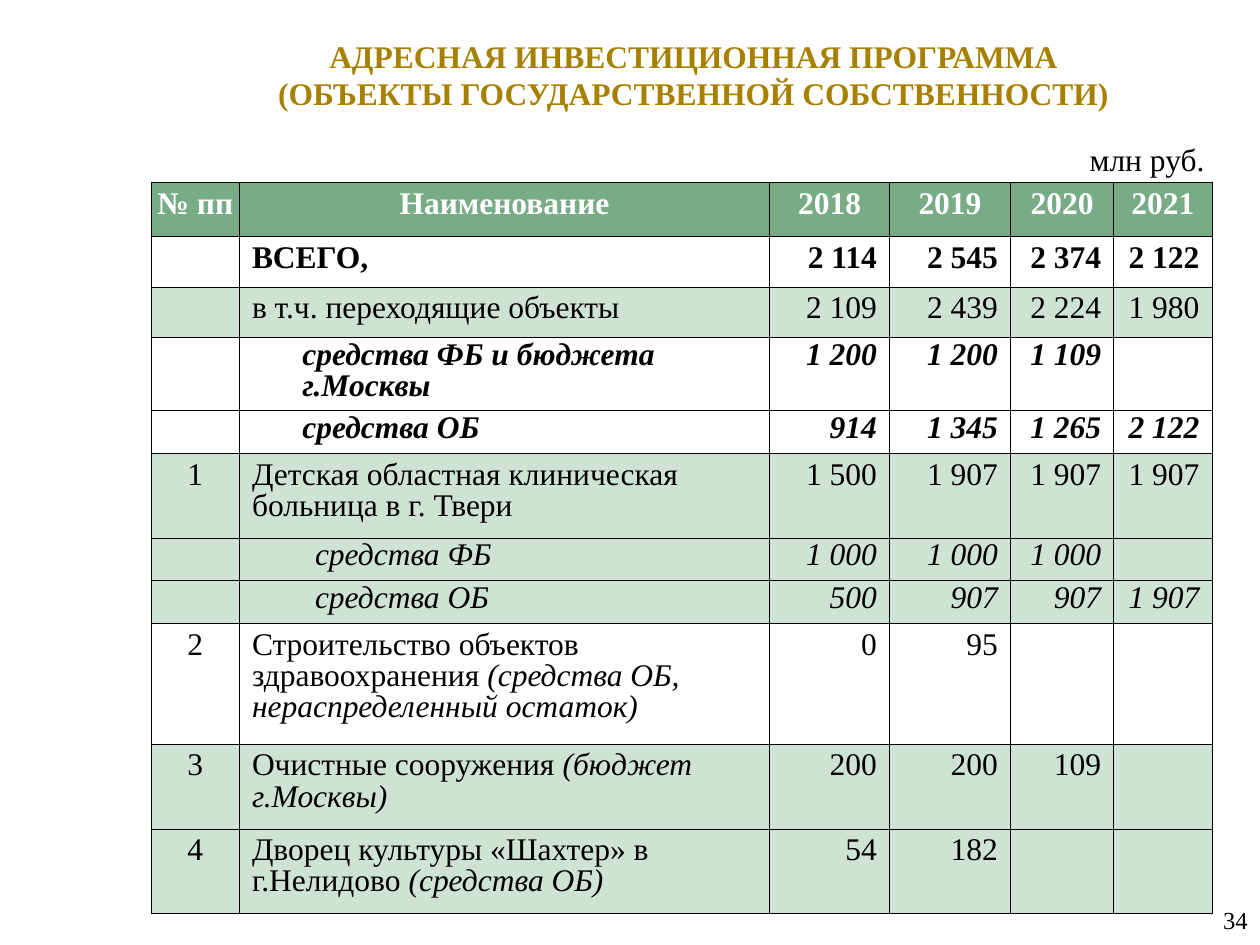
from dataclasses import dataclass

import pptx
import pptx.dml.color
import pptx.enum.text
import pptx.oxml
import pptx.oxml.ns
import pptx.util
from pptx.util import Inches

ALIGN = pptx.enum.text.PP_ALIGN
ANCHOR = pptx.enum.text.MSO_ANCHOR


@dataclass(frozen=True)
class Theme:
    font: str = "Times New Roman"
    body_size: int = 18
    number_size: int = 14
    gold: str = "A88000"
    black: str = "000000"
    white: str = "FFFFFF"
    header_green: str = "78AC87"
    pale_green: str = "CFE3D4"
    border_width: float = 0.5
    line_spacing: float = 0.9


@dataclass(frozen=True)
class Row:
    height: float
    number: str
    name: str
    figures: tuple
    note: str = ""
    shaded: bool = False
    bold: bool = False
    italic: bool = False
    indent: float = 0


THEME = Theme()
YEARS = ("2018", "2019", "2020", "2021")
COLUMN_WIDTHS = (0.7, 4.21, 0.95, 0.96, 0.82, 0.78)
HEADER_HEIGHT = 0.43

PROGRAMME = (
    Row(0.39, "", "ВСЕГО,", ("2 114", "2 545", "2 374", "2 122"), bold=True),
    Row(0.39, "", "в т.ч. переходящие объекты",
        ("2 109", "2 439", "2 224", "1 980"), shaded=True),
    Row(0.58, "", "средства ФБ и бюджета г.Москвы",
        ("1 200", "1 200", "1 109", ""), bold=True, italic=True, indent=0.4),
    Row(0.33, "", "средства ОБ", ("914", "1 345", "1 265", "2 122"),
        bold=True, italic=True, indent=0.4),
    Row(0.67, "1", "Детская областная клиническая\nбольница в г. Твери",
        ("1 500", "1 907", "1 907", "1 907"), shaded=True),
    Row(0.33, "", "средства ФБ", ("1 000", "1 000", "1 000", ""),
        shaded=True, italic=True, indent=0.5),
    Row(0.33, "", "средства ОБ", ("500", "907", "907", "1 907"),
        shaded=True, italic=True, indent=0.5),
    Row(0.96, "2", "Строительство объектов здравоохранения ", ("0", "95", "", ""),
        note="(средства ОБ, нераспределенный остаток)"),
    Row(0.67, "3", "Очистные сооружения ", ("200", "200", "109", ""),
        note="(бюджет г.Москвы)", shaded=True),
    Row(0.67, "4", "Дворец культуры «Шахтер» в г.Нелидово ", ("54", "182", "", ""),
        note="(средства ОБ)", shaded=True),
)


def rgb(value):
    return pptx.dml.color.RGBColor.from_string(value)


def write(frame, text, *, note="", size=THEME.body_size, color=THEME.black,
          bold=False, italic=False, align=ALIGN.LEFT, spacing=None, indent=0):
    """Write one paragraph per line; a note follows the last one in italics."""
    def add_run(paragraph, words, slanted):
        run = paragraph.add_run()
        run.text = words
        run.font.name = THEME.font
        run.font.size = pptx.util.Pt(size)
        run.font.color.rgb = rgb(color)
        run.font.bold = bold
        run.font.italic = slanted

    for index, line in enumerate(text.split("\n")):
        paragraph = frame.add_paragraph() if index else frame.paragraphs[0]
        paragraph.alignment = align
        if spacing:
            paragraph.line_spacing = spacing
        if indent:
            properties = paragraph._p.get_or_add_pPr()
            properties.set("marL", str(Inches(indent)))
            properties.set("indent", "0")
        for part, words in enumerate(line.split("\v")):
            if part:
                paragraph.add_line_break()
            if words:
                add_run(paragraph, words, italic)
    if note:
        add_run(paragraph, note, True)


class SlideBuilder:
    def __init__(self, presentation, theme):
        self.theme = theme
        self.slide = presentation.slides.add_slide(presentation.slide_layouts[5])

    def title(self, text, left, top, width, height):
        heading = self.slide.shapes.title
        heading.left, heading.top = Inches(left), Inches(top)
        heading.width, heading.height = Inches(width), Inches(height)
        heading.text_frame.vertical_anchor = ANCHOR.MIDDLE
        heading.text_frame.auto_size = pptx.enum.text.MSO_AUTO_SIZE.NONE
        write(heading.text_frame, text, color=self.theme.gold, bold=True,
              align=ALIGN.CENTER)

    def label(self, text, left, top, width, height, anchor=ANCHOR.TOP, **style):
        box = self.slide.shapes.add_textbox(
            Inches(left), Inches(top), Inches(width), Inches(height))
        box.text_frame.word_wrap = True
        box.text_frame.vertical_anchor = anchor
        write(box.text_frame, text, **style)

    def border(self, cell):
        properties = cell._tc.get_or_add_tcPr()
        width = pptx.util.Pt(self.theme.border_width)
        for position, side in enumerate(("lnL", "lnR", "lnT", "lnB")):
            properties.insert(position, pptx.oxml.parse_xml(
                f'<a:{side} {pptx.oxml.ns.nsdecls("a")} w="{width}"><a:solidFill>'
                f'<a:srgbClr val="{self.theme.black}"/></a:solidFill></a:{side}>'))

    def cell(self, cell, text, fill=None, side=0.1, edge=0.05, **style):
        cell.margin_left = cell.margin_right = Inches(side)
        cell.margin_top = cell.margin_bottom = Inches(edge)
        if fill:
            cell.fill.solid()
            cell.fill.fore_color.rgb = rgb(fill)
        else:
            cell.fill.background()
        self.border(cell)
        write(cell.text_frame, text, spacing=self.theme.line_spacing, **style)

    def programme_table(self, rows, left, top):
        heights = (HEADER_HEIGHT, *(row.height for row in rows))
        table = self.slide.shapes.add_table(
            len(heights), len(COLUMN_WIDTHS), Inches(left), Inches(top),
            Inches(sum(COLUMN_WIDTHS)), Inches(sum(heights))).table
        table.first_row = table.horz_banding = False
        for column, width in zip(table.columns, COLUMN_WIDTHS):
            column.width = Inches(width)
        for line, height in zip(table.rows, heights):
            line.height = Inches(height)

        # Header row
        for column, heading in enumerate(("№ пп", "Наименование", *YEARS)):
            self.cell(table.cell(0, column), heading, self.theme.header_green,
                      side=0.01, color=self.theme.white, bold=True,
                      align=ALIGN.CENTER)

        # Number, name and yearly figures; funding sources are set tighter
        for index, row in enumerate(rows, start=1):
            style = dict(fill=self.theme.pale_green if row.shaded else None,
                         edge=0.02 if row.indent else 0.05,
                         bold=row.bold, italic=row.italic)
            self.cell(table.cell(index, 0), row.number, align=ALIGN.CENTER, **style)
            self.cell(table.cell(index, 1), row.name, note=row.note,
                      indent=row.indent, **style)
            for column, figure in enumerate(row.figures, start=2):
                self.cell(table.cell(index, column), figure,
                          align=ALIGN.RIGHT, **style)


def main():
    presentation = pptx.Presentation()
    presentation.slide_width, presentation.slide_height = Inches(10), Inches(7.5)
    page = SlideBuilder(presentation, THEME)

    # Title and unit of measure
    page.title("АДРЕСНАЯ ИНВЕСТИЦИОННАЯ ПРОГРАММА\v"
               "(ОБЪЕКТЫ ГОСУДАРСТВЕННОЙ СОБСТВЕННОСТИ)", 1.29, 0.17, 8.43, 0.84)
    page.label("млн руб.", 8.55, 1.06, 1.17, 0.4)

    # Investment programme
    page.programme_table(PROGRAMME, 1.2, 1.45)

    # Page number
    page.label("34", 7.75, 7.1, 2.25, 0.4, anchor=ANCHOR.MIDDLE,
               size=THEME.number_size, align=ALIGN.RIGHT)

    presentation.save("out.pptx")


if __name__ == "__main__":
    main()
